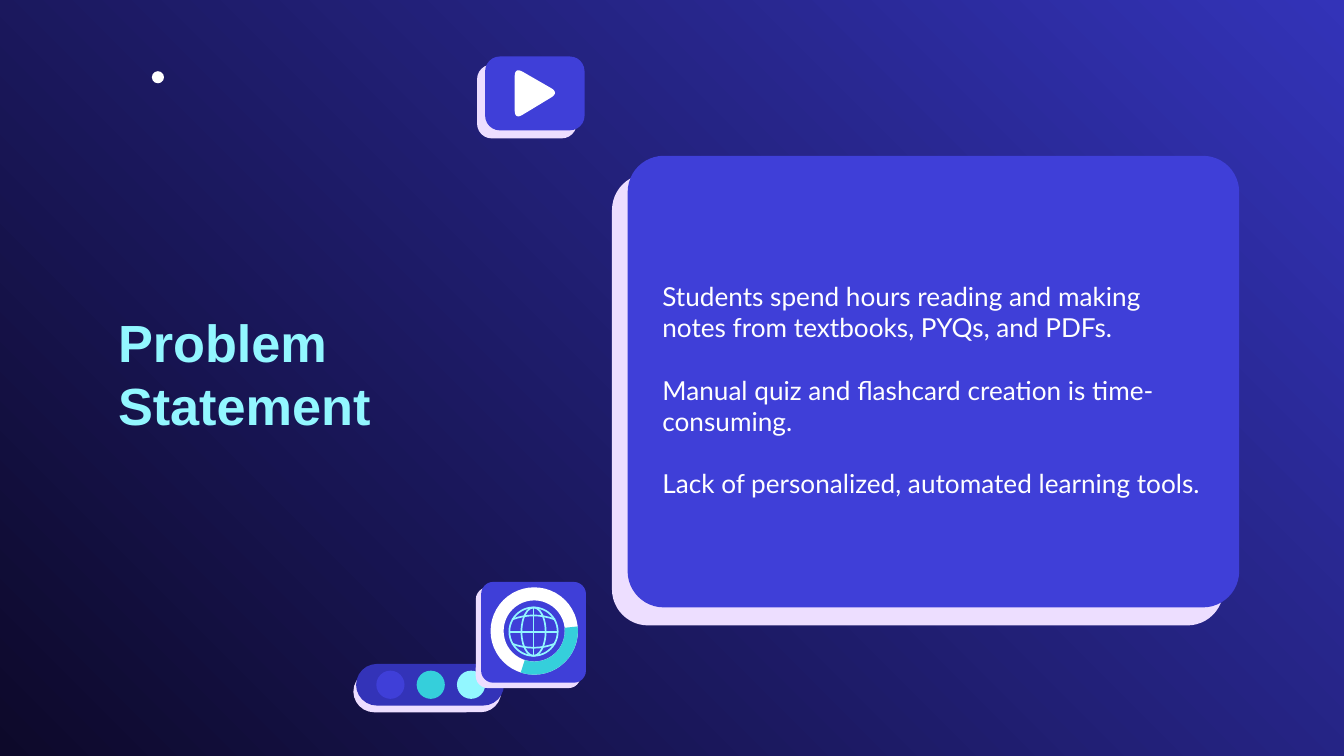
from lxml import etree
from pptx import Presentation
from pptx.dml.color import RGBColor
from pptx.enum.shapes import MSO_CONNECTOR as Link, MSO_SHAPE as Kind
from pptx.enum.text import MSO_ANCHOR as Anchor
from pptx.oxml import parse_xml
from pptx.oxml.ns import nsdecls, qn
from pptx.util import Inches, Pt

HUES = {
    "night": "0D092A", "navy": "3333B8", "blue": "3F3FD8", "lilac": "EDDEFF",
    "teal": "35CFDB", "aqua": "92F7FF", "white": "FFFFFF",
}
POINTS = [
    "Students spend hours reading and making notes from textbooks, PYQs, and PDFs.",
    "Manual quiz and flashcard creation is time-consuming.",
    "Lack of personalized, automated learning tools.",
]


def hue(name):
    return RGBColor.from_string(HUES[name])


def paint(item, fill=None, line=None):
    item.shadow.inherit = False
    if fill:
        item.fill.solid()
        item.fill.fore_color.rgb = hue(fill)
    else:
        item.fill.background()
    if line:
        item.line.color.rgb = hue(line)
        item.line.width = Pt(0.9)
    else:
        item.line.fill.background()


def add_form(shapes, kind, box, fill=None, line=None, adjust=()):
    form = shapes.add_shape(kind, *map(Inches, box))
    for i, value in enumerate(adjust):
        form.adjustments[i] = value
    paint(form, fill, line)
    return form


def add_path(shapes, pts, fill=None, line=None):
    """Draw a polyline; it is closed when it has a fill."""
    pts = [(Inches(x), Inches(y)) for x, y in pts]
    pen = shapes.build_freeform(*pts[0], scale=1.0)
    pen.add_line_segments(pts[1:], close=bool(fill))
    paint(pen.convert_to_shape(), fill, line)


def add_line(shapes, x1, y1, x2, y2, color):
    line = shapes.add_connector(Link.STRAIGHT, *map(Inches, (x1, y1, x2, y2)))
    line.line.color.rgb = hue(color)
    line.line.width = Pt(0.9)
    etree.SubElement(line._element.spPr, qn("a:effectLst"))


def add_text(shapes, box, paras, font="Lato", size=14, color="white",
             bold=False, gap=0):
    frame = shapes.add_textbox(*map(Inches, box)).text_frame
    frame.word_wrap = True
    frame.vertical_anchor = Anchor.MIDDLE
    frame.margin_left = frame.margin_right = Inches(0.1)
    frame.margin_top = frame.margin_bottom = Inches(0.1)
    for i, words in enumerate(paras):
        para = frame.paragraphs[0] if i == 0 else frame.add_paragraph()
        para.space_before = Pt(gap if i else 0)
        run = para.add_run()
        run.text = words
        run.font.name, run.font.size, run.font.bold = font, Pt(size), bold
        run.font.color.rgb = hue(color)


def curve(a, b, c, steps=8):
    """Sample a quadratic curve from a to c with control point b."""
    ts = [i / steps for i in range(steps + 1)]
    return [tuple((1 - t) ** 2 * p + 2 * t * (1 - t) * q + t * t * r
                  for p, q, r in zip(a, b, c)) for t in ts]


def round_off(pts, cut):
    """Replace each corner of a polygon by a curve."""
    def step(a, b):
        dx, dy = b[0] - a[0], b[1] - a[1]
        size = (dx * dx + dy * dy) ** 0.5
        return a[0] + dx * cut / size, a[1] + dy * cut / size

    out = []
    for i, pt in enumerate(pts):
        after = pts[(i + 1) % len(pts)]
        out += curve(step(pt, pts[i - 1]), pt, step(pt, after))
    return out


def add_card(shapes, box, fill, round_by, dx, dy):
    """Draw a rounded card over its lilac underlay."""
    x, y, w, h = box
    for place, color in (((x - dx, y + dy, w, h), "lilac"), (box, fill)):
        add_form(shapes, Kind.ROUNDED_RECTANGLE, place, color, adjust=[round_by])


def add_panel(shapes):
    panel = add_form(shapes, Kind.ROUNDED_RECTANGLE, (4.67, 1.16, 4.55, 3.36),
                     "blue", adjust=[0.08])
    cast = parse_xml(
        f'<a:outerShdw {nsdecls("a")} dist="{Pt(12.8)}" dir="{131 * 60000}" '
        f'algn="bl" rotWithShape="0"><a:srgbClr val="{HUES["lilac"]}"/></a:outerShdw>')
    panel._element.spPr.find(qn("a:effectLst")).append(cast)


def add_pill(shapes):
    add_card(shapes, (2.65, 4.94, 1.1, 0.31), "navy", 0.5, 0.02, 0.05)
    for i, color in enumerate(("blue", "teal", "aqua")):
        add_form(shapes, Kind.OVAL, (2.8 + 0.3 * i, 4.99, 0.21, 0.21), color)


def add_globe(shapes, cx, cy, r):
    for rx in (r, 0.09):
        add_form(shapes, Kind.OVAL, (cx - rx, cy - r, 2 * rx, 2 * r), line="aqua")
    add_line(shapes, cx - r, cy, cx + r, cy, "aqua")
    add_line(shapes, cx, cy - r, cx, cy + r, "aqua")
    for side in (-1, 1):
        ends = cy + side * 0.09
        add_path(shapes, curve((cx - 0.16, ends), (cx, cy + side * 0.15),
                               (cx + 0.16, ends)), line="aqua")


def add_tile(shapes):
    add_card(shapes, (3.58, 4.33, 0.78, 0.75), "blue", 0.12, 0.04, 0.04)
    ring = (3.65, 4.37, 0.65, 0.65)
    add_form(shapes, Kind.DONUT, ring, "white", adjust=[0.15])
    turn = 0.6  # adjustment units per degree
    add_form(shapes, Kind.BLOCK_ARC, ring, "teal",
             adjust=[354 * turn, 108 * turn, 0.15])
    add_globe(shapes, 3.97, 4.7, 0.18)


def add_play(shapes):
    add_card(shapes, (3.61, 0.42, 0.74, 0.55), "blue", 0.2, 0.06, 0.06)
    corners = [(3.83, 0.5), (4.16, 0.69), (3.83, 0.89)]
    add_path(shapes, round_off(corners, 0.07), fill="white")


def main():
    deck = Presentation()
    deck.slide_width = Inches(10)
    deck.slide_height = Inches(10) * 9 // 16
    slide = deck.slides.add_slide(deck.slide_layouts[6])
    back = slide.background.fill
    back.gradient()
    back.gradient_angle = 45
    for stop, name in zip(back.gradient_stops, ("night", "navy")):
        stop.color.rgb = hue(name)

    shapes = slide.shapes
    add_panel(shapes)
    add_text(shapes, (0.78, 2.2, 3.01, 1.15), ["Problem Statement"],
             font="Arial", size=28, color="aqua", bold=True)
    add_text(shapes, (4.83, 1.47, 4.22, 2.86), POINTS, gap=16.5)
    add_form(shapes, Kind.OVAL, (1.13, 0.53, 0.09, 0.09), "white")
    for draw in (add_pill, add_tile, add_play):
        draw(shapes.add_group_shape().shapes)
    deck.save("out.pptx")


if __name__ == "__main__":
    main()
